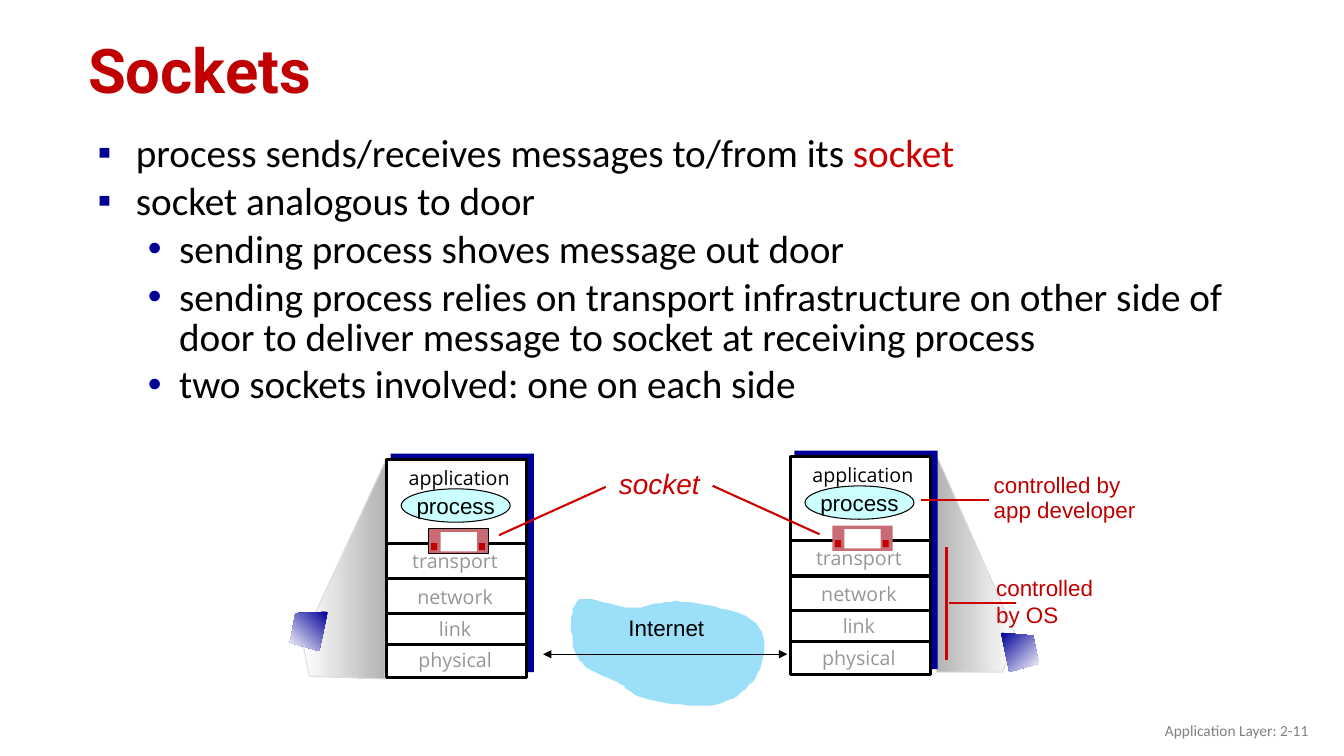
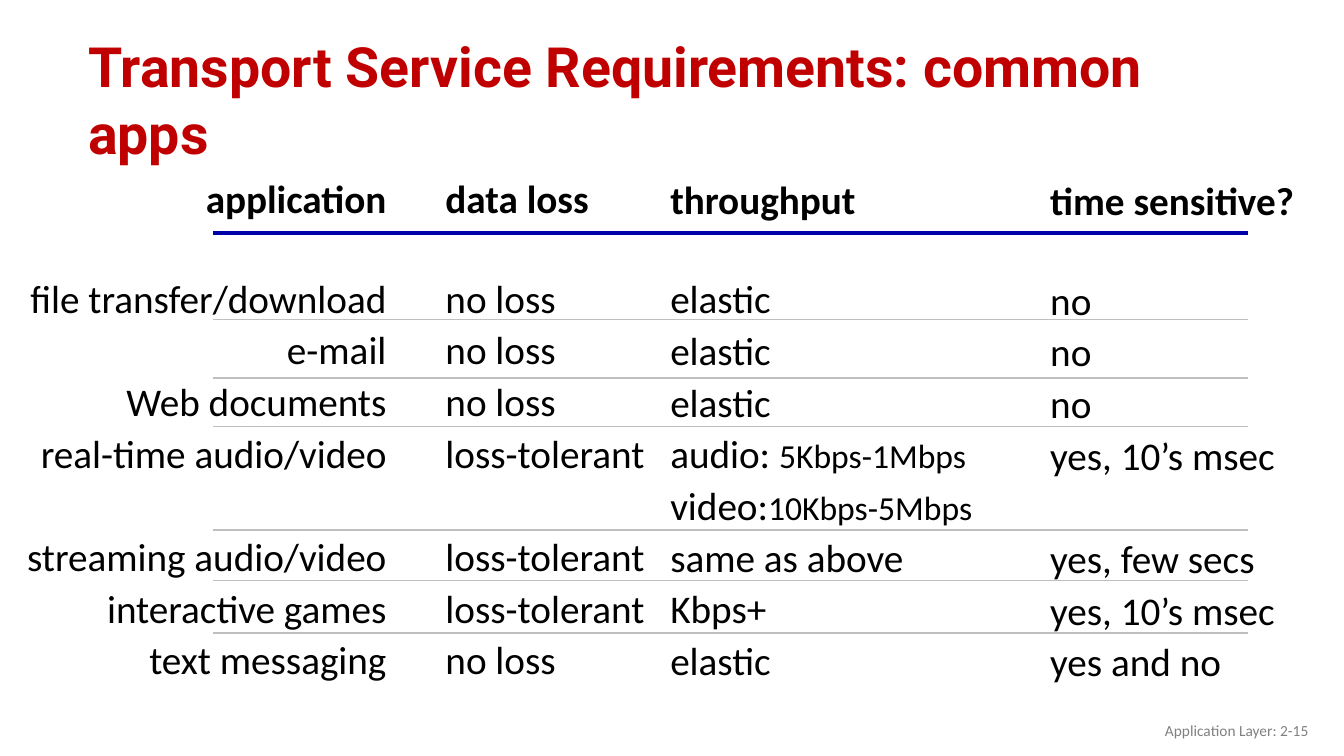
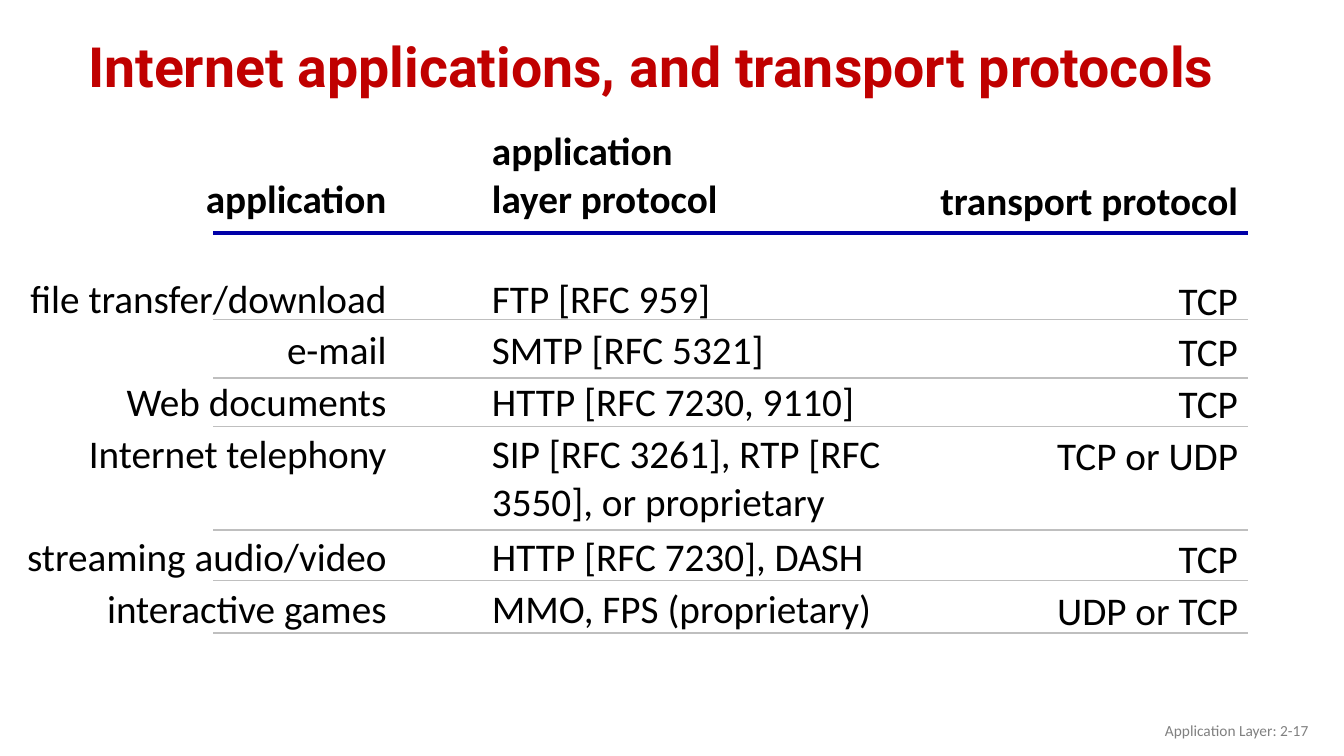
from dataclasses import dataclass

from pptx import Presentation
from pptx import util as u
from pptx.dml.color import RGBColor
from pptx.enum import shapes, text
from pptx.oxml import ns, xmlchemy

Pt = u.Pt


@dataclass(frozen=True)
class Theme:
    title: str = "C00000"
    accent: str = "CC0000"
    navy: str = "000099"
    header_rule: str = "0000A8"
    row_rule: str = "BFBFBF"
    black: str = "000000"
    white: str = "FFFFFF"
    footer: str = "808080"
    faded: str = "969696"
    beam: str = "B2B2B2"
    beam_edge: str = "DDDDDD"
    cloud: str = "9CDFF9"
    process: str = "CCFFFF"
    door: str = "C96B72"
    title_font: str = "Roboto"
    body_font: str = "Calibri"
    label_font: str = "Arial"
    layer_font: str = "Open Sans"
    title_size: float = 44
    long_title_size: float = 39.6
    body_size: float = 28
    small_body_size: float = 24
    socket_size: float = 20
    label_size: float = 16
    layer_size: float = 14
    footer_size: float = 11


THEME = Theme()
ALIGN = text.PP_ALIGN
ANCHOR = text.MSO_ANCHOR
LINE_HEIGHT = 34.2
HEADER_GAP = 37
ROW_PITCH = 36.93
FIRST_ROW_TOP = 197.1
TABLE_LEFT = 9
RULES_LEFT, RULES_RIGHT = 152.5, 891.4
ROW_RULES = [228.2, 270, 304.6, 378.7, 414.7, 452.2]
APPLICATIONS = ["file transfer/download", "e-mail", "Web documents"]


def rgb(color):
    return RGBColor.from_string(color)


def add_run(paragraph, words, size, font, color=THEME.black, bold=False, italic=False):
    run = paragraph.add_run()
    run.text = words
    run.font.size = Pt(size)
    run.font.name = font
    run.font.bold = bold
    run.font.italic = italic
    run.font.color.rgb = rgb(color)


def next_paragraph(frame, index):
    return frame.paragraphs[0] if index == 0 else frame.add_paragraph()


def clear_margins(frame):
    frame.margin_left = frame.margin_right = frame.margin_top = frame.margin_bottom = 0


def add_frame(slide, area, inset=True):
    frame = slide.shapes.add_textbox(*map(Pt, area)).text_frame
    frame.word_wrap = True
    if not inset:
        clear_margins(frame)
    return frame


def add_label(slide, area, lines, size, font, color, align=ALIGN.LEFT, spacing=1.0, italic=False):
    frame = add_frame(slide, area)
    for index, line in enumerate(lines):
        paragraph = next_paragraph(frame, index)
        paragraph.alignment = align
        paragraph.line_spacing = spacing
        add_run(paragraph, line, size, font, color, italic=italic)
    return frame


def style_shape(shape, fill=None, line=None, width=0.75):
    shape.shadow.inherit = False
    if fill:
        shape.fill.solid()
        shape.fill.fore_color.rgb = rgb(fill)
    if line:
        shape.line.color.rgb = rgb(line)
        shape.line.width = Pt(width)
    else:
        shape.line.fill.background()


def add_box(slide, area, fill, line=None, width=0.75, kind=shapes.MSO_SHAPE.RECTANGLE):
    shape = slide.shapes.add_shape(kind, *map(Pt, area))
    style_shape(shape, fill, line, width)
    return shape


def add_line(slide, start, end, color, width, arrows=False):
    connector = slide.shapes.add_connector(
        shapes.MSO_CONNECTOR.STRAIGHT, *map(Pt, (*start, *end)))
    connector.line.color.rgb = rgb(color)
    connector.line.width = Pt(width)
    properties = connector.element.spPr
    if arrows:
        outline = properties.find(ns.qn("a:ln"))
        for end_name in ("a:headEnd", "a:tailEnd"):
            arrow = xmlchemy.OxmlElement(end_name)
            arrow.set("type", "triangle")
            outline.append(arrow)
    properties.append(xmlchemy.OxmlElement("a:effectLst"))


def add_outline(slide, points, fill=None, line=None):
    builder = slide.shapes.build_freeform(*points[0], scale=Pt(1))
    builder.add_line_segments(points[1:], close=True)
    shape = builder.convert_to_shape()
    style_shape(shape, fill, line)
    return shape


def set_gradient(shape, colors, angle):
    """Angle is counter-clockwise from left-to-right."""
    shape.fill.gradient()
    shape.fill.gradient_angle = angle
    for stop, color, position in zip(shape.fill.gradient_stops, colors, (0, 1)):
        stop.color.rgb = rgb(color)
        stop.position = position


def trace_curves(start, curves, steps=10):
    """Turn a chain of cubic curves into points."""
    points = [start]
    for a, b, end in curves:
        origin = points[-1]
        for step in range(1, steps + 1):
            t = step / steps
            s = 1 - t
            points.append(tuple(
                s**3 * p + 3 * s * s * t * q + 3 * s * t * t * r + t**3 * v
                for p, q, r, v in zip(origin, a, b, end)))
    return points


def start_slide(presentation, title, number, title_size=THEME.long_title_size):
    slide = presentation.slides.add_slide(presentation.slide_layouts[6])
    heading = add_frame(slide, (63, 23, 828, 70.6), inset=False)
    add_run(heading.paragraphs[0], title, title_size, THEME.title_font, THEME.title, bold=True)
    footer = add_label(slide, (725.8, 507.6, 216, 28.8), [f"Application Layer: 2-{number}"],
                       THEME.footer_size, THEME.body_font, THEME.footer, ALIGN.RIGHT)
    footer.vertical_anchor = ANCHOR.MIDDLE
    return slide


def add_bullets(slide, area, items):
    """Each item is a level and its (words, color) runs."""
    styles = [("▪", 27.4, 27.4), ("•", 58.3, 22.3)]
    frame = add_frame(slide, area)
    for index, (level, runs) in enumerate(items):
        mark, left, hanging = styles[level]
        paragraph = next_paragraph(frame, index)
        paragraph.level = level
        paragraph.line_spacing = 0.85
        paragraph.space_before = Pt(5.6)
        for words, color in runs:
            add_run(paragraph, words, THEME.body_size, THEME.body_font, color)
        properties = paragraph._p.get_or_add_pPr()
        properties.set("marL", str(Pt(left)))
        properties.set("indent", str(-Pt(hanging)))
        bullet_color = xmlchemy.OxmlElement("a:buClr")
        value = xmlchemy.OxmlElement("a:srgbClr")
        value.set("val", THEME.navy)
        bullet_color.append(value)
        bullet_font = xmlchemy.OxmlElement("a:buFont")
        bullet_font.set("typeface", THEME.label_font)
        bullet = xmlchemy.OxmlElement("a:buChar")
        bullet.set("char", mark)
        properties.extend([bullet_color, bullet_font, bullet])


def add_host(slide, left, top, door_line=None):
    """Draw one protocol stack with its process and socket door."""
    add_box(slide, (left + 2.9, top - 4.3, 102.2, 156.2), THEME.navy)
    add_box(slide, (left, top, 100.1, 155.5), THEME.white, THEME.black, 2.25)
    layers = [("transport", 60, 58.5), ("network", 85.2, 84),
              ("link", 109.7, 107.3), ("physical", 132.3, 129.6)]
    for _, rule, _ in layers:
        add_line(slide, (left, top + rule), (left + 100, top + rule), THEME.black, 2.25)
    labels = [(name, -2.9, offset, THEME.faded) for name, _, offset in layers]
    for name, shift, offset, color in labels + [("application", 0, -0.7, THEME.black)]:
        add_label(slide, (left + shift, top + offset, 103.7, 25.9), [name], THEME.layer_size,
                  THEME.layer_font, color, ALIGN.CENTER, 1.1)
    process = add_box(slide, (left + 10.4, top + 20.9, 77.8, 23.8), THEME.process,
                      THEME.black, kind=shapes.MSO_SHAPE.OVAL)
    frame = process.text_frame
    frame.word_wrap = False
    clear_margins(frame)
    frame.vertical_anchor = ANCHOR.MIDDLE
    frame.paragraphs[0].alignment = ALIGN.CENTER
    add_run(frame.paragraphs[0], "process", THEME.label_size, THEME.label_font)
    door_left, door_top = left + 29.9, top + 49.3
    add_box(slide, (door_left, door_top, 43.2, 18), THEME.door, door_line)
    add_box(slide, (door_left + 8.6, door_top + 2.5, 25.9, 13.7), THEME.white)
    for hinge in (1.8, 36):
        add_box(slide, (door_left + hinge, door_top + 10.4, 4.3, 5), THEME.title)


def add_cell(cell, lines, bold, align, margins, anchor):
    """Each line is a string or a list of (words, size) runs."""
    cell.fill.background()
    cell.margin_left, cell.margin_top, cell.margin_right, cell.margin_bottom = map(Pt, margins)
    cell.vertical_anchor = anchor
    for index, line in enumerate(lines):
        paragraph = next_paragraph(cell.text_frame, index)
        paragraph.alignment = align
        if index and not bold:
            paragraph.space_before = Pt(3)
        runs = [(line, THEME.body_size)] if isinstance(line, str) else line
        for words, size in runs:
            add_run(paragraph, words, size, THEME.body_font, bold=bold)


def add_ruled_table(slide, columns, tall_row, header_lines=1):
    """Each column is (width, align, right margin, drop, header lines, cells)."""
    row_count = len(columns[0][5])
    header_height = LINE_HEIGHT * header_lines + HEADER_GAP
    heights = [header_height] + [ROW_PITCH * (2 if row == tall_row else 1)
                                 for row in range(row_count)]
    frame = slide.shapes.add_table(
        row_count + 1, len(columns), Pt(TABLE_LEFT), Pt(FIRST_ROW_TOP - header_height),
        Pt(sum(column[0] for column in columns)), Pt(sum(heights)))
    table = frame.table
    table.first_row = table.horz_banding = False
    for style in frame.element.iter(ns.qn("a:tableStyleId")):
        style.text = "{2D5ABB26-0587-4C30-8999-92F81FD0307C}"
    for row, height in zip(table.rows, heights):
        row.height = Pt(height)
    for index, (width, align, right, drop, header, cells) in enumerate(columns):
        table.columns[index].width = Pt(width)
        left = 7.2 if align == ALIGN.LEFT else 0
        add_cell(table.cell(0, index), header, True, align,
                 (left, 0, right, HEADER_GAP - drop), ANCHOR.BOTTOM)
        for row, content in enumerate(cells, 1):
            lines = [content] if isinstance(content, str) else content
            add_cell(table.cell(row, index), lines, False, align,
                     (left, drop, right, 0), ANCHOR.TOP)
    add_line(slide, (RULES_LEFT, 166.3), (RULES_RIGHT, 166.3), THEME.header_rule, 2.5)
    for y in ROW_RULES:
        add_line(slide, (RULES_LEFT, y), (RULES_RIGHT, y), THEME.row_rule, 1.25)


def add_sockets_slide(presentation):
    slide = start_slide(presentation, "Sockets", 11, THEME.title_size)
    add_bullets(slide, (62.6, 93.3, 863.3, 183.6), [
        (0, [("process sends/receives messages to/from its ", THEME.black),
             ("socket", THEME.accent)]),
        (0, [("socket analogous to door", THEME.black)]),
        (1, [("sending process shoves message out door", THEME.black)]),
        (1, [("sending process relies on transport infrastructure on other side of door "
              "to deliver message to socket at receiving process", THEME.black)]),
        (1, [("two sockets involved: one on each side", THEME.black)]),
    ])
    beams = [
        ([(725.8, 455), (668.2, 322.6), (668.9, 480.2), (715.7, 480.2)],
         (THEME.beam, THEME.white)),
        ([(216, 457.9), (275.8, 327.6), (275, 485.3), (221, 483.1)],
         (THEME.white, THEME.beam)),
    ]
    for points, colors in beams:
        set_gradient(add_outline(slide, points, line=THEME.beam_edge), colors, 0)
    cloud = trace_curves((409, 456.5), [
        ((407.5, 448.6), (406.8, 432), (414, 428.4)),
        ((421.2, 424.8), (438.5, 434.2), (450.7, 434.2)),
        ((463, 434.9), (472.3, 427.7), (487.4, 429.8)),
        ((502.6, 431.3), (531.4, 436.3), (540, 445)),
        ((549.4, 452.9), (545.8, 470.9), (541.4, 481)),
        ((536.4, 490.3), (525.6, 499.7), (512.6, 503.3)),
        ((499, 506.2), (473, 501.8), (460.8, 499)),
        ((449.3, 496.1), (447.1, 490.3), (440.6, 486.7)),
        ((433.4, 483.1), (424.1, 481.7), (419, 476.6)),
        ((414, 471.6), (408.2, 465.1), (409, 456.5)),
    ])
    add_outline(slide, cloud, THEME.cloud)
    add_label(slide, (426, 434.9, 100, 26.6), ["Internet"], THEME.label_size,
              THEME.label_font, THEME.black, ALIGN.CENTER)
    add_line(slide, (388, 467.3), (562.3, 467.3), THEME.black, 0.75, arrows=True)
    add_host(slide, 276.2, 328.3, THEME.black)
    add_host(slide, 564.6, 326.2)
    add_label(slide, (704.5, 406.8, 110, 64.8), ["controlled", "by OS"], THEME.label_size,
              THEME.label_font, THEME.title)
    add_label(slide, (702.7, 335.5, 140, 41.8), ["controlled by", "app developer"],
              THEME.label_size, THEME.label_font, THEME.title, spacing=0.9)
    add_label(slide, (434.9, 332.6, 90, 28.8), ["socket"], THEME.socket_size,
              THEME.label_font, THEME.accent, spacing=0.9, italic=True)
    pointers = [((706.3, 357.1), (658.1, 357.1)), ((676.1, 391), (676.1, 471.6)),
                ((725.8, 430.6), (678.2, 430.6)), ((356.4, 382.3), (432.7, 347.8)),
                ((585.4, 381.6), (509, 347))]
    for start, end in pointers:
        add_line(slide, start, end, THEME.accent, 1.5)
    chips = [
        ([(234, 437), (211, 437.8), (206.6, 459.4), (228.2, 465.1)], 225),
        ([(715, 452.2), (738, 453.6), (742.3, 474.5), (720.7, 480.2)], 315),
    ]
    for points, angle in chips:
        set_gradient(add_outline(slide, points), (THEME.navy, THEME.white), angle)


def add_requirements_slide(presentation):
    slide = start_slide(presentation, "Transport Service Requirements: common apps", 15)
    rates = [[(kind, THEME.body_size), (rate, THEME.small_body_size)] for kind, rate in
             [("audio: ", "5Kbps-1Mbps"), ("video:", "10Kbps-5Mbps")]]
    add_ruled_table(slide, [
        (302, ALIGN.RIGHT, 35, 0, ["application"], APPLICATIONS + [
            "real-time audio/video", "streaming audio/video", "interactive games",
            "text messaging"]),
        (160.6, ALIGN.LEFT, 0, 0, ["data loss"],
         ["no loss"] * 3 + ["loss-tolerant"] * 3 + ["no loss"]),
        (271.4, ALIGN.LEFT, 7.2, 0.5, ["throughput"],
         ["elastic"] * 3 + [rates, "same as above", "Kbps+", "elastic"]),
        (217, ALIGN.LEFT, 7.2, 1.5, ["time sensitive?"],
         ["no"] * 3 + ["yes, 10’s msec", "yes, few secs", "yes, 10’s msec", "yes and no"]),
    ], tall_row=3)


def add_protocols_slide(presentation):
    slide = start_slide(presentation, "Internet applications, and transport protocols", 17)
    add_ruled_table(slide, [
        (335.2, ALIGN.RIGHT, 68.2, 0, ["application"], APPLICATIONS + [
            "Internet telephony", "streaming audio/video", "interactive games"]),
        (316.8, ALIGN.LEFT, 7.2, 0, ["application", "layer protocol"], [
            "FTP [RFC 959]", "SMTP [RFC 5321]", "HTTP [RFC 7230, 9110]",
            "SIP [RFC 3261], RTP [RFC 3550], or proprietary",
            "HTTP [RFC 7230], DASH", "MMO, FPS (proprietary)"]),
        (230.4, ALIGN.RIGHT, 7.2, 1.5, ["transport protocol"],
         ["TCP"] * 3 + ["TCP or UDP", "TCP", "UDP or TCP"]),
    ], tall_row=3, header_lines=2)


def main():
    presentation = Presentation()
    presentation.slide_width = Pt(960)
    presentation.slide_height = Pt(540)
    add_sockets_slide(presentation)
    add_requirements_slide(presentation)
    add_protocols_slide(presentation)
    presentation.save("out.pptx")


if __name__ == "__main__":
    main()
